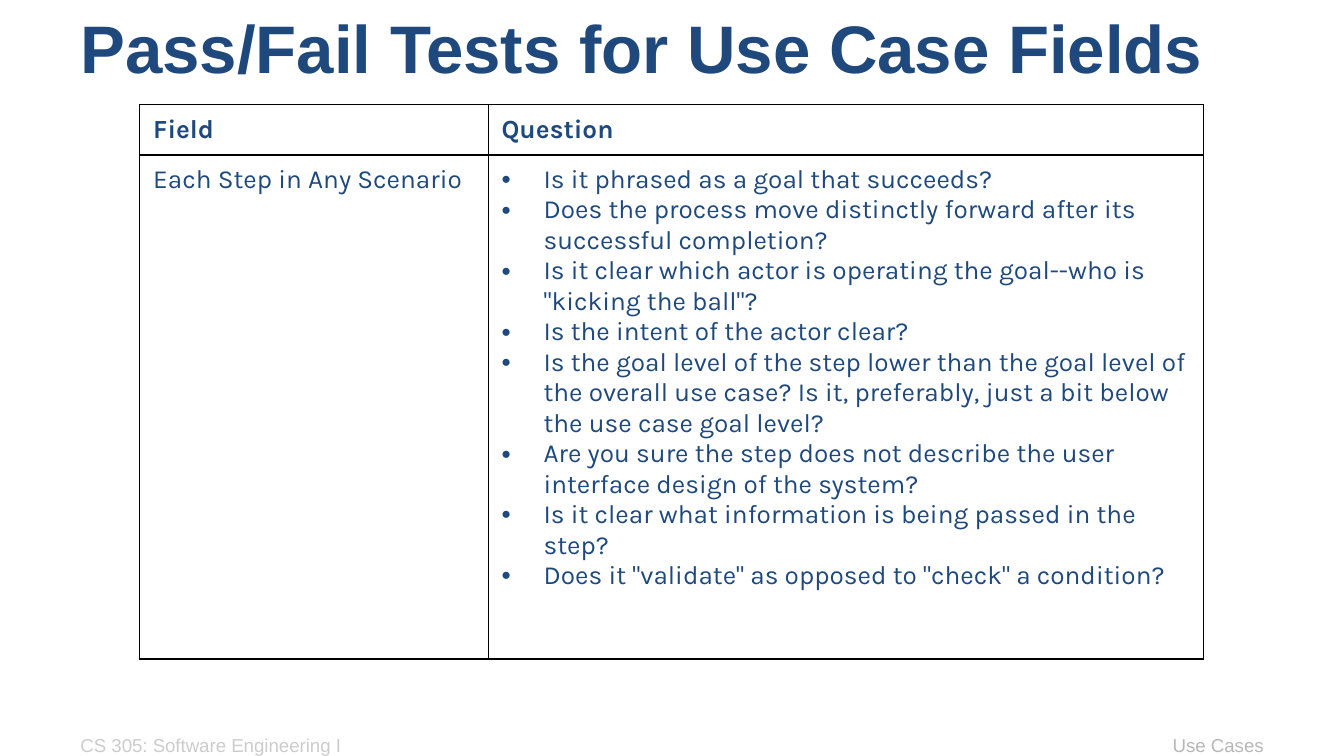
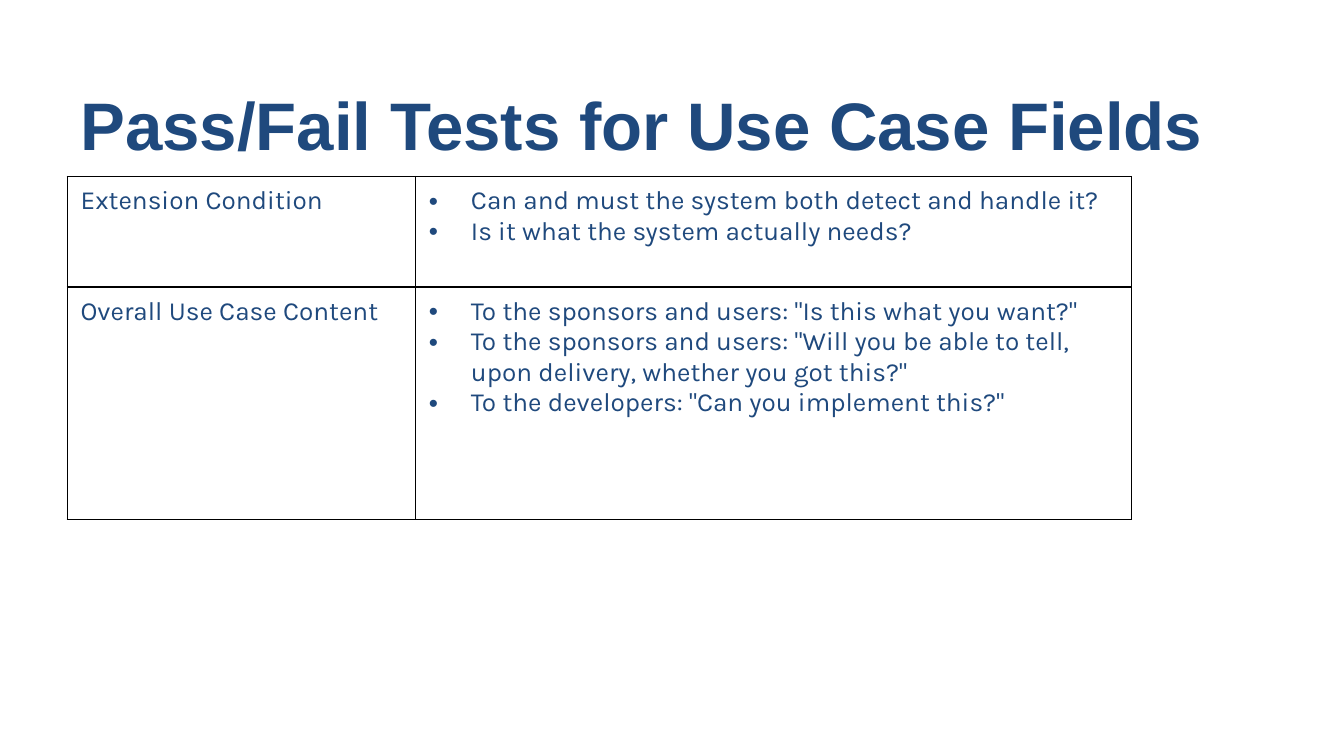
from dataclasses import dataclass
from lxml import etree
from pptx import Presentation
from pptx.dml.color import RGBColor
from pptx.enum.text import MSO_ANCHOR, PP_ALIGN
from pptx.oxml.ns import qn
from pptx.util import Inches, Pt

LEFT, RIGHT = PP_ALIGN.LEFT, PP_ALIGN.RIGHT
TOP, BOTTOM = MSO_ANCHOR.TOP, MSO_ANCHOR.BOTTOM


@dataclass(frozen=True)
class Theme:
    head_font: str = "Arial"
    body_font: str = "Karla"
    navy: str = "1F497D"
    course: str = "CCCCCC"
    topic: str = "B7B7B7"
    white: str = "FFFFFF"
    line: str = "000000"
    title: int = 36
    body: int = 14
    footer: int = 10
    border: float = 0.75
    indent: float = 22.5


th = Theme()
prs = Presentation()
prs.slide_width, prs.slide_height = Inches(10), Inches(5.625)
COL, ROW = prs.slide_width / 100, prs.slide_height / 100


def add_run(p, text, font, size, color, bold=False):
    r = p.add_run()
    r.text = text
    r.font.name, r.font.size, r.font.bold = font, Pt(size), bold
    r.font.color.rgb = RGBColor.from_string(color)


def add_text(s, box, text, size, color, bold=False, align=LEFT, anchor=TOP):
    x, y, w, h = box
    sp = s.shapes.add_textbox(int(x * COL), int(y * ROW), int(w * COL), int(h * ROW))
    tf = sp.text_frame
    tf.word_wrap, tf.vertical_anchor = True, anchor
    tf.margin_left = tf.margin_right = tf.margin_top = tf.margin_bottom = Inches(0.1)
    p = tf.paragraphs[0]
    p.alignment = align
    add_run(p, text, th.head_font, size, color, bold)
    return p


TITLE = "Pass/Fail Tests for Use Case Fields"
TABLE_COLS = (25.92, 53.25)
slides = [
    {
        "title_h": 9.24, "spaced": True, "header": True, "footer": True,
        "at": (10.4, 13.87), "heights": (6.58, 66.67),
        "rows": [
            ("Field", ["Question"]),
            ("Each Step in Any Scenario", [
                "Is it phrased as a goal that succeeds?",
                "Does the process move distinctly forward after its successful completion?",
                'Is it clear which actor is operating the goal--who is "kicking the ball"?',
                "Is the intent of the actor clear?",
                "Is the goal level of the step lower than the goal level of the overall use case? "
                "Is it, preferably, just a bit below the use case goal level?",
                "Are you sure the step does not describe the user interface design of the system?",
                "Is it clear what information is being passed in the step?",
                'Does it "validate" as opposed to "check" a condition?',
            ]),
        ],
    },
    {
        "title_h": 19.38, "spaced": False, "header": False, "footer": False,
        "at": (5, 23.33), "heights": (14.65, 30.7),
        "rows": [
            ("Extension Condition", [
                "Can and must the system both detect and handle it?",
                "Is it what the system actually needs?",
            ]),
            ("Overall Use Case Content", [
                'To the sponsors and users: "Is this what you want?"',
                'To the sponsors and users: "Will you be able to tell, upon delivery, whether you got this?"',
                'To the developers: "Can you implement this?"',
            ]),
        ],
    },
]

for spec_ in slides:
    s = prs.slides.add_slide(prs.slide_layouts[6])
    s.background.fill.solid()
    s.background.fill.fore_color.rgb = RGBColor.from_string(th.white)

    p = add_text(s, (5, 4.09, 90, spec_["title_h"]), TITLE, th.title, th.navy, True, anchor=BOTTOM)
    if spec_["spaced"]:
        p.line_spacing, p.space_before, p.space_after = 1.15, Pt(18), Pt(4)
    if spec_["footer"]:
        add_text(s, (5, 95.64, 32.5, 4.27), "CS 305: Software Engineering I", th.footer, th.course)
        add_text(s, (62.5, 95.64, 32.5, 4.27), "Use Cases", th.footer, th.topic, align=RIGHT)

    x, y = spec_["at"]
    heights = spec_["heights"]
    frame = s.shapes.add_table(
        len(heights), len(TABLE_COLS), int(x * COL), int(y * ROW),
        int(sum(TABLE_COLS) * COL), int(sum(heights) * ROW))
    table = frame.table
    table.first_row = table.horz_banding = False
    for column, width in zip(table.columns, TABLE_COLS):
        column.width = int(width * COL)

    for i, (field, questions) in enumerate(spec_["rows"]):
        table.rows[i].height = int(heights[i] * ROW)
        is_header = spec_["header"] and i == 0
        for j, lines in enumerate(([field], questions)):
            cell = table.cell(i, j)
            cell.vertical_anchor = TOP
            cell.margin_left = cell.margin_right = Inches(0.1)
            cell.margin_top = cell.margin_bottom = Inches(0.07)
            tcPr = cell._tc.get_or_add_tcPr()
            for side in ("a:lnL", "a:lnR", "a:lnT", "a:lnB"):
                ln = etree.SubElement(tcPr, qn(side), w=str(Pt(th.border)))
                fill = etree.SubElement(ln, qn("a:solidFill"))
                etree.SubElement(fill, qn("a:srgbClr"), val=th.line)
            cell.fill.background()
            tf = cell.text_frame
            for k, line in enumerate(lines):
                p = tf.add_paragraph() if k else tf.paragraphs[0]
                add_run(p, line, th.body_font, th.body, th.navy, is_header)
                if j and not is_header:
                    pPr = p._p.get_or_add_pPr()
                    pPr.set("marL", str(Pt(th.indent)))
                    pPr.set("indent", str(-Pt(th.indent)))
                    etree.SubElement(pPr, qn("a:buFont"), typeface=th.head_font)
                    etree.SubElement(pPr, qn("a:buChar"), char="•")

prs.save("out.pptx")
